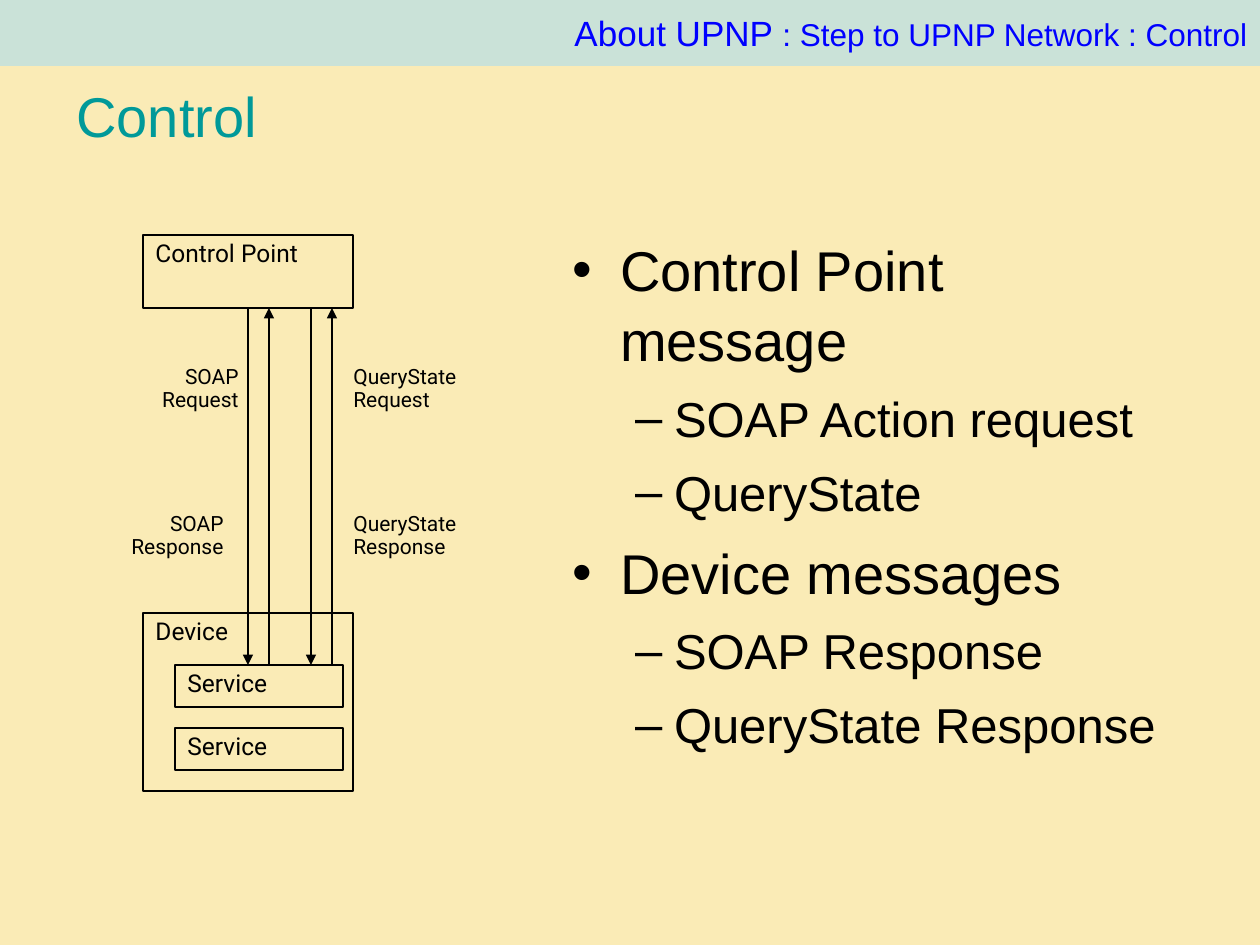
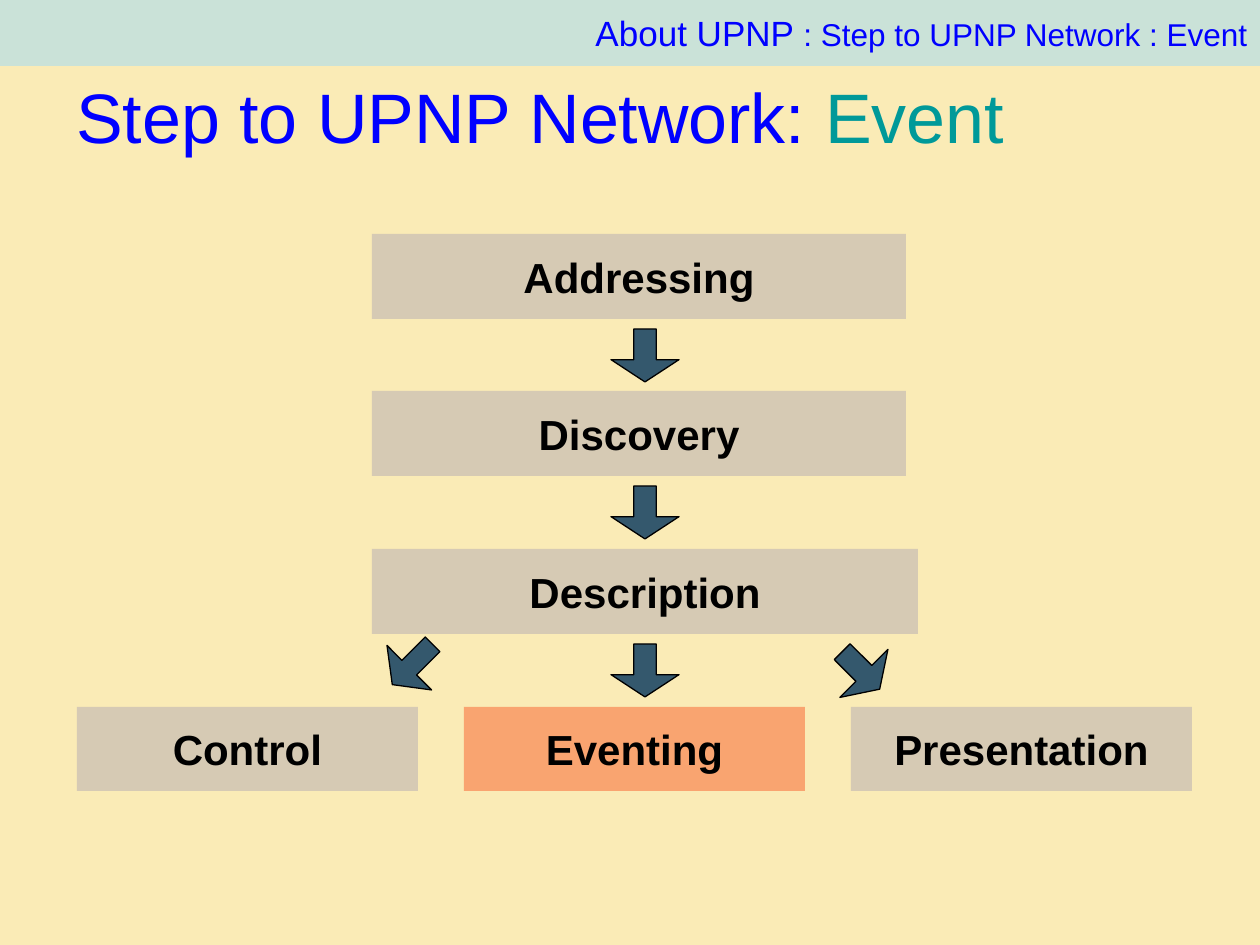
from dataclasses import dataclass

from lxml.etree import SubElement
from pptx import Presentation
from pptx.dml.color import RGBColor
from pptx.enum.shapes import MSO_CONNECTOR, MSO_SHAPE
from pptx.enum.text import MSO_ANCHOR, PP_ALIGN
from pptx.oxml.ns import qn
from pptx.util import Emu, Pt

# Scale and shared look
EMU_PER_PX = 914400 / 126
SLIDE_W, SLIDE_H = 1260, 945

CREAM = RGBColor(0xFA, 0xEB, 0xB6)
BAND = RGBColor(0xBB, 0xE0, 0xE3)
BLUE = RGBColor(0x00, 0x00, 0xFF)
TEAL = RGBColor(0x00, 0x99, 0x99)
BLACK = RGBColor(0x00, 0x00, 0x00)
SAND = RGBColor(0xD6, 0xCA, 0xB4)
ORANGE = RGBColor(0xF9, 0xA4, 0x70)
SLATE = RGBColor(0x34, 0x58, 0x6D)

SANS, ROBOTO = "Arial", "Roboto"


@dataclass(frozen=True)
class Box:
    x: int
    y: int
    w: int
    h: int


@dataclass(frozen=True)
class Span:
    text: str
    size: int
    color: RGBColor


@dataclass(frozen=True)
class Node:
    text: str
    box: Box


@dataclass(frozen=True)
class Label:
    lines: str
    box: Box
    align: PP_ALIGN


@dataclass(frozen=True)
class Step:
    text: str
    box: Box
    fill: RGBColor = SAND


@dataclass(frozen=True)
class Arrow:
    box: Box
    rotation: int = 0


@dataclass(frozen=True)
class BulletLevel:
    char: str
    size: int
    margin: int
    hanging: int
    before: int


LEVELS = [BulletLevel("•", 32, 48, 48, 8), BulletLevel("–", 28, 102, 39, 7)]


def px(n: int) -> Emu:
    return Emu(round(n * EMU_PER_PX))


def frame(box: Box) -> tuple[Emu, ...]:
    return px(box.x), px(box.y), px(box.w), px(box.h)


# Text helpers
def style_font(font, size: int, color: RGBColor, name: str = SANS, bold: bool = False) -> None:
    font.size, font.name, font.bold = Pt(size), name, bold
    font.color.rgb = color


def write_spans(tf, spans: list[Span], align: PP_ALIGN = PP_ALIGN.LEFT) -> None:
    tf.word_wrap, tf.vertical_anchor = True, MSO_ANCHOR.MIDDLE
    p = tf.paragraphs[0]
    p.alignment = align
    for span in spans:
        r = p.add_run()
        r.text = span.text
        style_font(r.font, span.size, span.color)


def write_small(tf, text: str, size: int, align: PP_ALIGN = PP_ALIGN.LEFT) -> None:
    tf.word_wrap, tf.vertical_anchor = True, MSO_ANCHOR.TOP
    tf.text = text
    for p in tf.paragraphs:
        p.alignment, p.line_spacing = align, 0.9
        style_font(p.runs[0].font, size, BLACK, ROBOTO)


# Shape helpers
def add_block(s, kind: MSO_SHAPE, box: Box, fill: RGBColor | None, line_pt: float = 0):
    sp = s.shapes.add_shape(kind, *frame(box))
    sp.shadow.inherit = False
    if fill is None:
        sp.fill.background()
    else:
        sp.fill.solid()
        sp.fill.fore_color.rgb = fill
    if line_pt:
        sp.line.color.rgb = BLACK
        sp.line.width = Pt(line_pt)
    else:
        sp.line.fill.background()
    return sp


def add_node(s, node: Node):
    sp = add_block(s, MSO_SHAPE.RECTANGLE, node.box, None, 1)
    write_small(sp.text_frame, node.text, 14)
    return sp


def add_label(s, label: Label) -> None:
    tf = s.shapes.add_textbox(*frame(label.box)).text_frame
    write_small(tf, label.lines, 12, label.align)


def add_message_line(s, x: int, start_y: int, end_y: int):
    line = s.shapes.add_connector(MSO_CONNECTOR.STRAIGHT, px(x), px(start_y), px(x), px(end_y))
    line.line.color.rgb = BLACK
    line.line.width = Pt(1.5)
    SubElement(line.line._get_or_add_ln(), qn("a:tailEnd"), type="triangle")
    SubElement(line._element.spPr, qn("a:effectLst"))
    return line


def add_bullets(s, box: Box, items: list[tuple[int, str]]) -> None:
    tf = s.shapes.add_textbox(*frame(box)).text_frame
    tf.word_wrap = True
    tf.margin_left = tf.margin_right = px(11)
    tf.margin_top = tf.margin_bottom = px(5)
    tf.text = "\n".join(text for _, text in items)
    for i, (p, (depth, _)) in enumerate(zip(tf.paragraphs, items)):
        level = LEVELS[depth]
        p.level, p.line_spacing = depth, 1.05
        p.space_before = Pt(level.before if i else 0)
        pPr = p._p.get_or_add_pPr()
        pPr.set("marL", str(px(level.margin)))
        pPr.set("indent", str(-px(level.hanging)))
        SubElement(pPr, qn("a:buFont"), typeface=SANS)
        SubElement(pPr, qn("a:buChar"), char=level.char)
        style_font(p.runs[0].font, level.size, BLACK)


def add_step(s, step: Step) -> None:
    sp = add_block(s, MSO_SHAPE.RECTANGLE, step.box, step.fill)
    tf = sp.text_frame
    tf.word_wrap, tf.vertical_anchor = True, MSO_ANCHOR.MIDDLE
    tf.text = step.text
    p = tf.paragraphs[0]
    p.alignment = PP_ALIGN.CENTER
    style_font(p.runs[0].font, 24, BLACK, bold=True)


def add_arrow(s, arrow: Arrow) -> None:
    sp = add_block(s, MSO_SHAPE.DOWN_ARROW, arrow.box, SLATE, 0.75)
    sp.adjustments[0], sp.adjustments[1] = 0.33, 0.42
    sp.rotation = arrow.rotation


# Background, title and top band common to both slides
def new_slide(prs, topic: str, title: list[Span]):
    s = prs.slides.add_slide(prs.slide_layouts[6])
    s.background.fill.solid()
    s.background.fill.fore_color.rgb = CREAM
    write_spans(s.shapes.add_textbox(*frame(Box(64, 86, 1134, 59))).text_frame, title)
    band = add_block(s, MSO_SHAPE.RECTANGLE, Box(0, 0, SLIDE_W, 66), BAND)
    color = band._element.spPr.find(qn("a:solidFill"))[0]
    SubElement(color, qn("a:alpha"), val="76000")
    crumbs = [Span("About UPNP ", 20, BLUE), Span(f": Step to UPNP Network : {topic}", 18, BLUE)]
    write_spans(band.text_frame, crumbs, PP_ALIGN.RIGHT)
    return s


def build_control(prs) -> None:
    s = new_slide(prs, "Control", [Span("Control", 32, TEAL)])
    add_bullets(s, Box(561, 227, 634, 592), [
        (0, "Control Point message"),
        (1, "SOAP Action request"),
        (1, "QueryState"),
        (0, "Device messages"),
        (1, "SOAP Response"),
        (1, "QueryState Response"),
    ])

    # Control point, and device with its services
    control_box = Box(143, 235, 210, 73)
    service_top = 665
    control_point = add_node(s, Node("Control Point", control_box))
    add_node(s, Node("Device", Box(143, 613, 210, 178)))
    for i in range(2):
        add_node(s, Node("Service", Box(175, service_top + 63 * i, 168, 42)))

    # Request lines run down, response lines run up
    control_bottom = control_box.y + control_box.h
    center = control_box.x + control_box.w // 2
    for x in (center, center + 63):
        request = add_message_line(s, x, control_bottom, service_top)
        if x == center:
            request.begin_connect(control_point, 2)
        add_message_line(s, x + 21, service_top, control_bottom)

    # Message labels
    for label in (
        Label("SOAP\nRequest", Box(146, 360, 105, 58), PP_ALIGN.RIGHT),
        Label("SOAP\nResponse", Box(115, 507, 121, 58), PP_ALIGN.RIGHT),
        Label("QueryState\nRequest", Box(341, 360, 136, 58), PP_ALIGN.LEFT),
        Label("QueryState\nResponse", Box(341, 507, 136, 58), PP_ALIGN.LEFT),
    ):
        add_label(s, label)


def build_event(prs) -> None:
    s = new_slide(prs, "Event", [Span("Step to UPNP Network: ", 40, BLUE), Span("Event", 40, TEAL)])
    row_offsets = [315 * row // 2 for row in range(4)]

    # Steps in sequence, each followed by an arrow
    for text, width, offset in zip(
        ("Addressing", "Discovery", "Description"), (534, 534, 546), row_offsets
    ):
        add_step(s, Step(text, Box(372, 234 + offset, width, 85)))
        add_arrow(s, Arrow(Box(611, 329 + offset, 68, 53)))

    # Three final steps, side by side
    for col, (text, fill) in enumerate(
        (("Control", SAND), ("Eventing", ORANGE), ("Presentation", SAND))
    ):
        add_step(s, Step(text, Box(77 + 387 * col, 235 + row_offsets[3], 341, 84), fill))
    add_arrow(s, Arrow(Box(381, 636, 63, 57), 45))
    add_arrow(s, Arrow(Box(827, 644, 68, 53), 315))


def main() -> None:
    prs = Presentation()
    prs.slide_width, prs.slide_height = px(SLIDE_W), px(SLIDE_H)
    build_control(prs)
    build_event(prs)
    prs.save("out.pptx")


if __name__ == "__main__":
    main()
